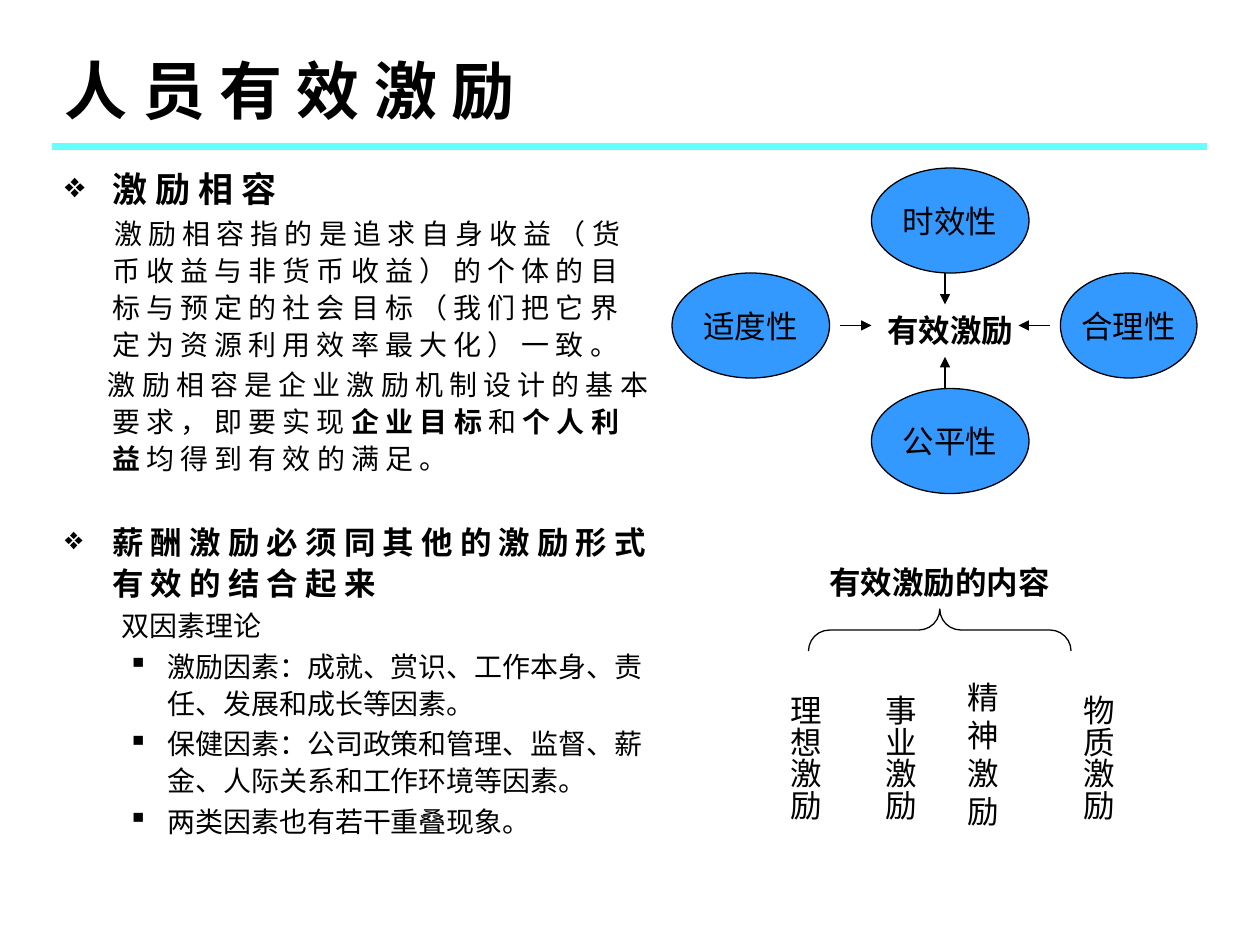
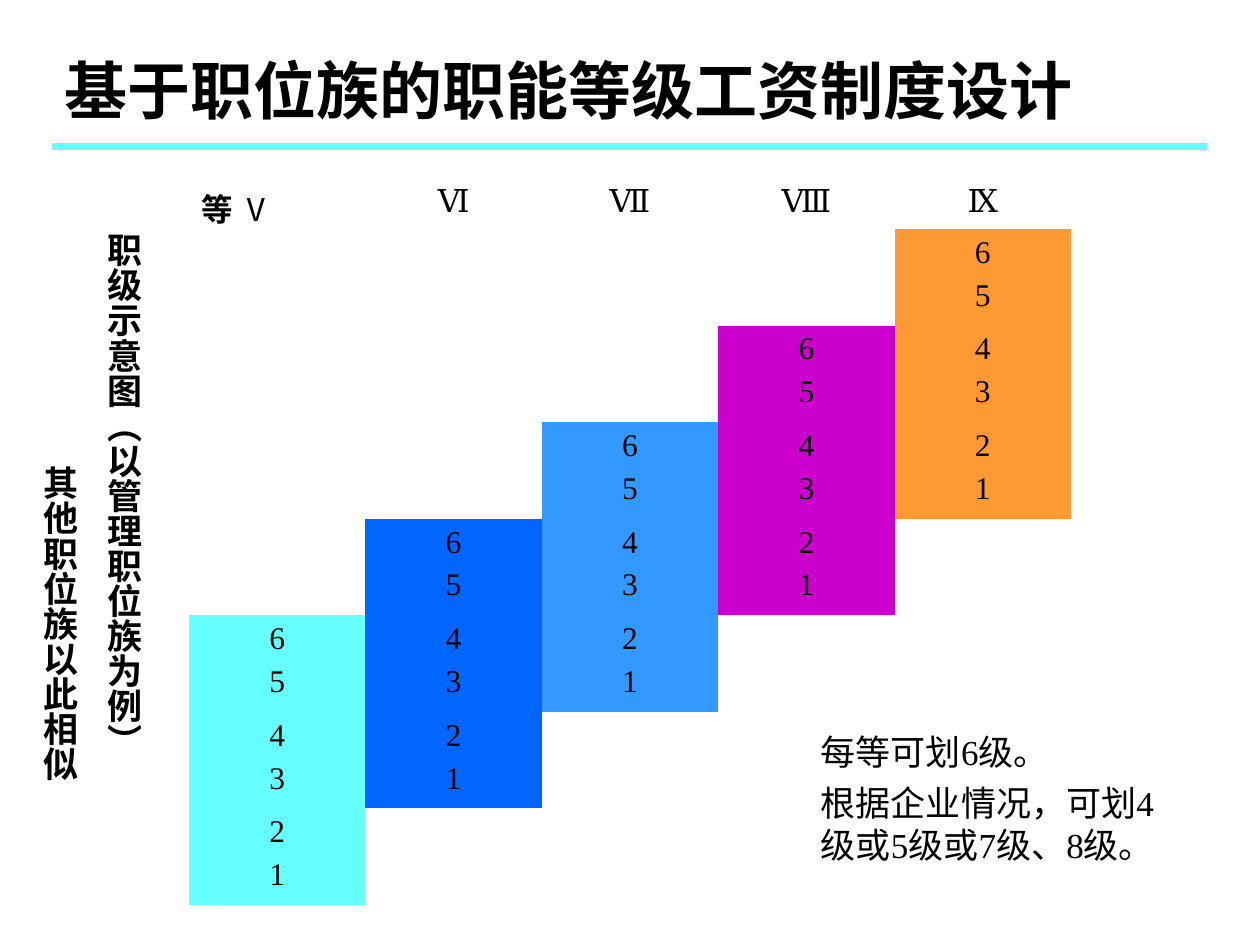
from lxml import etree
from pptx import Presentation
from pptx.dml.color import RGBColor
from pptx.enum.shapes import MSO_CONNECTOR, MSO_SHAPE
from pptx.enum.text import MSO_ANCHOR, MSO_AUTO_SIZE, PP_ALIGN
from pptx.oxml.ns import qn
from pptx.util import Emu, Pt

OVAL, BRACE = MSO_SHAPE.OVAL, MSO_SHAPE.LEFT_BRACE
STRAIGHT = MSO_CONNECTOR.STRAIGHT
TOP, MIDDLE = MSO_ANCHOR.TOP, MSO_ANCHOR.MIDDLE
LEFT, CENTER = PP_ALIGN.LEFT, PP_ALIGN.CENTER
GROW = MSO_AUTO_SIZE.SHAPE_TO_FIT_TEXT

SCALE = 7620  # EMU in one px, 120 px to the inch
FONT = "Times New Roman"
PLAIN_GRID = "{2D5ABB26-0587-4C30-8999-92F81FD0307C}"
COLORS = {
    "ink": "000000", "paper": "FFFFFF", "cyan": "66FFFF", "royal": "0066FF",
    "blue": "3399FF", "purple": "CC00CC", "orange": "FF9933",
}


def px(n):
    return Emu(round(n * SCALE))


def color(name):
    return RGBColor.from_string(COLORS[name])


def para(*runs, align=LEFT, before=0, line=None, left=0, first=0, bullet=None):
    """A paragraph: its runs as (text, size, bold), then its layout."""
    return dict(runs=runs, align=align, before=before, line=line,
                left=left, first=first, bullet=bullet)


class Deck:
    def __init__(self):
        self.prs = Presentation()
        self.prs.slide_width, self.prs.slide_height = px(1200), px(900)
        self.slide = None

    def page(self, title):
        self.slide = self.prs.slides.add_slide(self.prs.slide_layouts[6])
        fill = self.slide.background.fill
        fill.solid()
        fill.fore_color.rgb = color("paper")
        self.line(50, 140, 1150, 140, "cyan", 4)
        self.text(50, 40, 1100, 90, [para((title, 36, True))], anchor=MIDDLE)

    def fill_text(self, frame, paras):
        for i, style in enumerate(paras):
            p = frame.paragraphs[0] if i == 0 else frame.add_paragraph()
            p.alignment = style["align"]
            if style["line"]:
                p.line_spacing = style["line"]
            if i:
                p.space_before = Pt(style["before"])
            props = p._p.get_or_add_pPr()
            props.set("marL", str(px(style["left"])))
            props.set("indent", str(px(style["first"])))
            if style["bullet"]:
                etree.SubElement(props, qn("a:buChar")).set("char", style["bullet"])
            for words, size, bold in style["runs"]:
                run = p.add_run()
                run.text = words
                run.font.name, run.font.size, run.font.bold = FONT, Pt(size), bold
                run.font.color.rgb = color("ink")

    def text(self, x, y, w, h, paras, anchor=TOP, grow=False, upright=False):
        frame = self.slide.shapes.add_textbox(px(x), px(y), px(w), px(h)).text_frame
        frame.word_wrap = True
        frame.vertical_anchor = anchor
        if grow:
            frame.auto_size = GROW
        if upright:
            frame._txBody.bodyPr.set("vert", "eaVert")
            frame.margin_left = frame.margin_right = px(6)
            frame.margin_top = frame.margin_bottom = px(12)
        self.fill_text(frame, paras)

    def shape(self, kind, x, y, w, h, fill=None):
        item = self.slide.shapes.add_shape(kind, px(x), px(y), px(w), px(h))
        item.shadow.inherit = False
        if fill:
            item.fill.solid()
            item.fill.fore_color.rgb = color(fill)
        else:
            item.fill.background()
        item.line.color.rgb = color("ink")
        item.line.width = Pt(0.75)
        return item

    def oval(self, x, y, w, label):
        frame = self.shape(OVAL, x, y, w, 100, "blue").text_frame
        frame.word_wrap = False
        frame.vertical_anchor = MIDDLE
        self.fill_text(frame, [para((label, 18, False), align=CENTER)])

    def brace(self, x, y, w, h):
        """A brace lying on its side, tip up, in the box x, y, w, h."""
        item = self.shape(BRACE, x + (w - h) / 2, y + (h - w) / 2, h, w)
        item.rotation = 90
        item.adjustments[0] = item.adjustments[1] = 0.5

    def line(self, x1, y1, x2, y2, ink="ink", width=0.75, arrow=False):
        item = self.slide.shapes.add_connector(STRAIGHT, px(x1), px(y1), px(x2), px(y2))
        item.line.color.rgb = color(ink)
        item.line.width = Pt(width)
        if arrow:
            etree.SubElement(item.line._get_or_add_ln(), qn("a:tailEnd")).set("type", "triangle")
        etree.SubElement(item._element.spPr, qn("a:effectLst"))

    def table(self, x, y, cols, rows):
        frame = self.slide.shapes.add_table(
            len(rows), len(cols), px(x), px(y), px(sum(cols)), px(sum(rows)))
        grid = frame.table
        grid.first_row = grid.horz_banding = False
        grid._tbl.tblPr.find(qn("a:tableStyleId")).text = PLAIN_GRID
        for col, w in zip(grid.columns, cols):
            col.width = px(w)
        for row, h in zip(grid.rows, rows):
            row.height = px(h)
        for cell in grid.iter_cells():
            cell.fill.background()
        return grid

    def cell(self, cell, paras, fill=None):
        if fill:
            cell.fill.solid()
            cell.fill.fore_color.rgb = color(fill)
        self.fill_text(cell.text_frame, paras)


def motives(deck):
    deck.page("人 员 有 效 激 励")

    # Explanation on the left
    def head(words, size, before=0):
        return para((words, size, True), before=before, line=1.1,
                    left=45, first=-45, bullet="❖")

    def body(*runs, first=0):
        return para(*[(words, 16, bold) for words, bold in runs],
                    before=2, line=1.1, left=45, first=first)

    def point(words):
        return para((words, 16, False), before=2, line=1.1,
                    left=98, first=-38, bullet="▪")

    deck.text(50, 150, 580, 700, [
        head("激 励 相 容", 20),
        body(("激 励 相 容 指 的 是 追 求 自 身 收 益 （ 货 币 收 益 与 非 货 币 收 益 ） 的 个 体 的 目 标 "
              "与 预 定 的 社 会 目 标 （ 我 们 把 它 界 定 为 资 源 利 用 效 率 最 大 化 ） 一 致 。", False),
             first=2),
        body(("激 励 相 容 是 企 业 激 励 机 制 设 计 的 基 本 要 求 ， 即 要 实 现 ", False),
             ("企 业 目 标 ", True), ("和 ", False), ("个 人 利 益 ", True),
             ("均 得 到 有 效 的 满 足 。", False), first=-4),
        head("薪 酬 激 励 必 须 同 其 他 的 激 励 形 式 有 效 的 结 合 起 来", 18, before=25),
        body(("双因素理论", False), first=9),
        point("激励因素：成就、赏识、工作本身、责任、发展和成长等因素。"),
        point("保健因素：公司政策和管理、监督、薪金、人际关系和工作环境等因素。"),
        point("两类因素也有若干重叠现象。"),
    ])

    # Four qualities around the centre
    for x, y, w, label in [(830, 160, 150, "时效性"), (1010, 260, 130, "合理性"),
                           (830, 370, 150, "公平性"), (640, 260, 150, "适度性")]:
        deck.oval(x, y, w, label)
    for ends in [(800, 310, 830, 310), (900, 370, 900, 340),
                 (1000, 310, 970, 310), (900, 260, 900, 290)]:
        deck.line(*ends, arrow=True)

    # Bold captions and the brace
    for x, y, w, words in [(830, 290, 150, "有效激励"), (750, 530, 290, "有效激励的内容")]:
        deck.text(x, y, w, 48, [para((words, 18, True), align=CENTER)], grow=True)
    deck.brace(770, 580, 250, 40)

    # Kinds of incentive, read downwards
    for x, y, h, words, upright in [(731, 650, 190, "理想激励", True),
                                    (821, 650, 210, "事业激励", True),
                                    (910, 640, 156, "精神激励", False),
                                    (1010, 650, 190, "物质激励", True)]:
        deck.text(x, y, 60, h, [para((words, 18, False))], grow=True, upright=upright)


def grades(deck):
    deck.page("基于职位族的职能等级工资制度设计")

    # Staircase of grades: each band starts one row above the band before it
    bands = [("Ⅴ", "cyan"), ("Ⅵ", "royal"), ("Ⅶ", "blue"), ("Ⅷ", "purple"), ("Ⅸ", "orange")]
    grid = deck.table(180, 170, [168] * 5, [48] + [92] * 7)
    for col, (name, fill) in enumerate(bands):
        if col:
            title = para((name, 18, False), align=CENTER)
        else:
            title = para(("等", 18, True), (" " + name, 18, False))
        deck.cell(grid.cell(0, col), [title])
        for step, high in enumerate((6, 4, 2)):
            pair = [para((str(n), 18, False), align=CENTER, before=4.5)
                    for n in (high, high - 1)]
            deck.cell(grid.cell(5 - col + step, col), pair, fill)

    # Remarks
    deck.text(770, 690, 370, 140, [
        para(("每等可划6级。", 20, False)),
        para(("根据企业情况，可划4级或5级或7级、8级。", 20, False), before=5),
    ], grow=True)
    deck.text(19, 210, 125, 600, [
        para(("职级示意图（以管理职位族为例）", 20, True)),
        para(("其他职位族以此相似", 20, True), before=12.5, left=222),
    ], grow=True, upright=True)


def main():
    deck = Deck()
    motives(deck)
    grades(deck)
    deck.prs.save("out.pptx")


if __name__ == "__main__":
    main()
